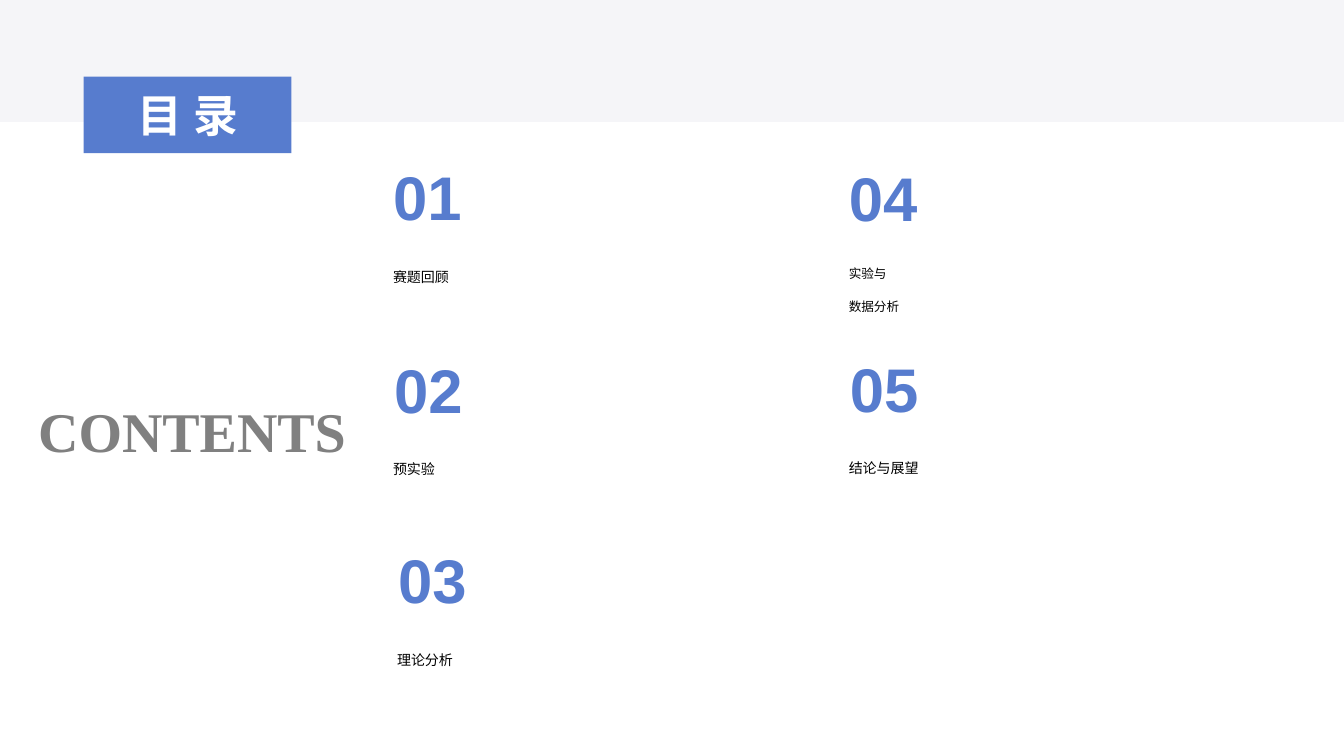
import lxml.etree
import pptx
import pptx.dml.color
import pptx.enum.shapes
import pptx.enum.text
import pptx.oxml.ns
import pptx.util

ALIGN = pptx.enum.text.PP_ALIGN
ANCHOR = pptx.enum.text.MSO_ANCHOR
AUTO_SIZE = pptx.enum.text.MSO_AUTO_SIZE
EMU_PER_PX = 9144
COLORS = {
    "blue": "577CCE",
    "band": "F5F5F8",
    "gray": "808080",
    "black": "000000",
    "white": "FFFFFF",
}


class ContentsSlide:
    def __init__(self, presentation):
        self.slide = presentation.slides.add_slide(presentation.slide_layouts[5])

    @staticmethod
    def px(value):
        return pptx.util.Emu(value * EMU_PER_PX)

    @staticmethod
    def color(name):
        return pptx.dml.color.RGBColor.from_string(COLORS[name])

    def format(self, paragraph, size, color, bold, align, font="Arial"):
        paragraph.alignment = align
        paragraph.font.name = font
        paragraph.font.size = pptx.util.Pt(size)
        paragraph.font.bold = bold
        paragraph.font.color.rgb = self.color(color)

    def fill(self, shape, color):
        shape.fill.solid()
        shape.fill.fore_color.rgb = self.color(color)
        shape.line.fill.background()

    def band(self, left, top, width, height, color):
        shape = self.slide.shapes.add_shape(
            pptx.enum.shapes.MSO_SHAPE.RECTANGLE,
            *map(self.px, (left, top, width, height)))
        shape.shadow.inherit = False
        self.fill(shape, color)

    def rule(self, start, end, top, color):
        connector = self.slide.shapes.add_connector(
            pptx.enum.shapes.MSO_CONNECTOR.STRAIGHT,
            *map(self.px, (start, top, end, top)))
        connector.line.color.rgb = self.color(color)
        connector.line.width = pptx.util.Pt(0.5)
        lxml.etree.SubElement(connector.element.spPr,
                              pptx.oxml.ns.qn("a:effectLst"))

    def title(self, left, top, width, height, text):
        shape = self.slide.shapes.title
        shape.left, shape.top, shape.width, shape.height = map(
            self.px, (left, top, width, height))
        self.fill(shape, "blue")
        frame = shape.text_frame
        frame.text = text
        frame.auto_size = AUTO_SIZE.NONE
        frame.vertical_anchor = ANCHOR.MIDDLE
        paragraph = frame.paragraphs[0]
        self.format(paragraph, 32, "white", True, ALIGN.CENTER)
        paragraph.runs[0].font._element.set("spc", "800")
        shape.element.getparent().append(shape.element)

    def text(self, left, top, width, height, lines, size, color, bold=False,
             align=ALIGN.LEFT, font="Arial", line_spacing=None, gap=0):
        box = self.slide.shapes.add_textbox(
            *map(self.px, (left, top, width, height)))
        frame = box.text_frame
        frame.word_wrap = True
        frame.text = "\n".join(lines)
        for index, paragraph in enumerate(frame.paragraphs):
            self.format(paragraph, size, color, bold, align, font)
            paragraph.line_spacing = line_spacing
            if index:
                paragraph.space_before = pptx.util.Pt(gap)

    def section(self, left, number_left, top, number, lines):
        size, spacing = (10, 1.5) if len(lines) == 1 else (9, 1.3)
        self.text(left, top + 100, 354, 68, lines, size, "black",
                  align=ALIGN.JUSTIFY, line_spacing=spacing, gap=10)
        self.text(number_left, top, 89, 84, [f"{number:02d}"], 44, "blue",
                  bold=True)
        self.rule(left + 132, left + 14, top + 82, "white")


def main():
    presentation = pptx.Presentation()
    presentation.slide_width = ContentsSlide.px(1333)
    presentation.slide_height = ContentsSlide.px(750)
    contents = ContentsSlide(presentation)

    contents.text(0, 388, 353, 77, ["CONTENTS"], 40, "gray", bold=True,
                  align=ALIGN.RIGHT, font="Times New Roman")
    contents.band(0, 0, 1333, 121, "band")
    sections = [
        (380, 380, 153, ["赛题回顾"]),
        (380, 381, 344, ["预实验"]),
        (384, 385, 533, ["理论分析"]),
        (832, 832, 154, ["实验与", "数据分析"]),
        (832, 833, 343, ["结论与展望"]),
    ]
    for number, (left, number_left, top, lines) in enumerate(sections, 1):
        contents.section(left, number_left, top, number, lines)
    contents.title(83, 76, 206, 76, "目录")

    presentation.save("out.pptx")


if __name__ == "__main__":
    main()
